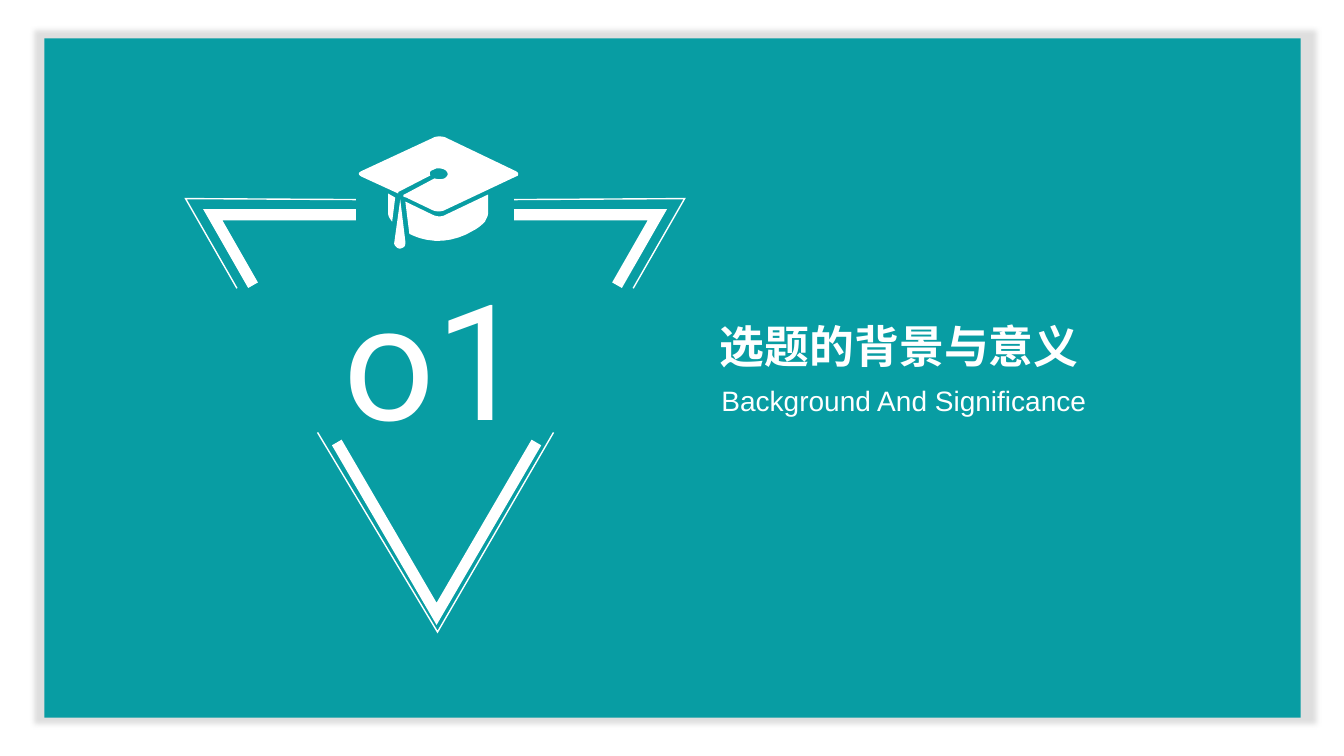
"""Build a section slide with a broken triangle, a graduation cap and a title, on a grid of 0.01 inch cells."""
from dataclasses import dataclass
from typing import Optional

from lxml import etree
from pptx import Presentation
from pptx.dml.color import RGBColor
from pptx.enum.shapes import MSO_SHAPE
from pptx.enum.text import MSO_ANCHOR, PP_ALIGN
from pptx.oxml.ns import qn
from pptx.util import Emu, Pt

RECTANGLE = MSO_SHAPE.RECTANGLE
MIDDLE = MSO_ANCHOR.MIDDLE
CENTER = PP_ALIGN.CENTER

CELL = 9144
COLUMNS, ROWS = 1333, 750
MIRROR_SUM = 863
CURVE_STEPS = 6
WHITE, TEAL, GREY = "FFFFFF", "089DA3", "A6A6A6"
THIN, THICK = 1, 8

Point = tuple[float, float]
Curve = tuple[float, float, float, float, float, float]


@dataclass(frozen=True)
class Stroke:
    points: list[Point]
    weight: float
    mirrored: bool = False


@dataclass(frozen=True)
class Patch:
    start: Point
    segments: list[tuple[float, ...]]


@dataclass(frozen=True)
class Label:
    text: str
    column: float
    row: float
    columns: float
    rows: float
    font: str
    size: float
    bold: Optional[bool] = None
    indent: float = 0


STROKES = [
    Stroke([(235, 286), (184, 197), (353, 198)], THIN, True),
    Stroke([(251, 283), (211, 213), (353, 213)], THICK, True),
    Stroke([(549, 429), (434, 627), (315, 429)], THIN),
    Stroke([(532, 439), (433, 609), (334, 439)], THICK),
]

CAP_BOARD = Patch((429, 137), [
    (432, 135, 437, 135, 441, 136), (512, 170),
    (513, 171, 514, 171, 514, 173), (514, 174, 513, 175, 512, 175),
    (440, 209), (437, 210, 433, 210, 430, 209), (405, 197),
    (404, 196, 402, 196, 400, 195), (400, 194, 400, 193, 401, 193),
    (431, 177), (434, 178, 438, 178, 441, 177),
    (442, 176, 444, 175, 444, 173), (444, 171, 443, 170, 442, 169),
    (439, 167, 436, 167, 433, 167), (431, 168, 428, 169, 427, 170),
    (426, 171, 426, 173, 427, 174), (396, 190),
    (395, 190, 395, 191, 395, 192), (358, 175),
    (357, 174, 356, 174, 356, 172), (356, 171, 357, 171, 358, 170),
])
CAP_SIDE = Patch((385, 192), [
    (392, 196), (389, 220), (387, 217, 385, 215, 385, 212),
])
CAP_BASE = Patch((440, 214), [
    (484, 193), (484, 212), (484, 215, 482, 217, 481, 220),
    (477, 224, 473, 227, 469, 229), (456, 237, 439, 241, 424, 238),
    (418, 237, 412, 235, 406, 232), (402, 200), (429, 213),
    (433, 215, 437, 215, 440, 214),
])
CAP_TASSEL = Patch((391, 241), [
    (397, 198), (402, 239), (402, 240, 402, 241, 402, 242),
    (402, 244, 401, 245, 399, 246), (397, 247, 395, 247, 393, 245),
    (392, 244, 391, 243, 391, 241),
])

LABELS = [
    Label("o1", 235, 251, 393, 204, "Roboto", 115),
    Label("选题的背景与意义", 621, 311, 542, 64, "Noto Sans CJK SC", 32, True),
    Label("Background And Significance", 618, 375, 549, 44, "Arial", 20, indent=8),
]


def cells(count: float) -> Emu:
    """Turn a number of grid cells into a length."""
    return Emu(round(count * CELL))


def color(value: str) -> RGBColor:
    """Turn a hex string into a colour."""
    return RGBColor.from_string(value)


def set_all(target: object, values: dict[str, object]) -> None:
    """Set every attribute named in the dict."""
    for name, value in values.items():
        setattr(target, name, value)


def curve_points(start: Point, curve: Curve) -> list[Point]:
    """Sample a cubic curve after its start point."""
    corners = [start, curve[0:2], curve[2:4], curve[4:6]]
    points = []
    for step in range(1, CURVE_STEPS + 1):
        t = step / CURVE_STEPS
        weights = [(1 - t) ** 3, 3 * t * (1 - t) ** 2, 3 * t * t * (1 - t), t ** 3]
        points.append(tuple(sum(w * c[axis] for w, c in zip(weights, corners)) for axis in (0, 1)))
    return points


def outline(slide, points: list[Point], closed: bool):
    """Build a freeform through grid points."""
    scaled = [(round(x * CELL), round(y * CELL)) for x, y in points]
    builder = slide.shapes.build_freeform(*scaled[0], scale=1.0)
    builder.add_line_segments(scaled[1:], close=closed)
    shape = builder.convert_to_shape()
    shape.shadow.inherit = False
    return shape


def draw_stroke(slide, stroke: Stroke) -> None:
    """Draw an open line, and its mirror image where asked."""
    versions = [stroke.points]
    if stroke.mirrored:
        versions.append([(MIRROR_SUM - x, y) for x, y in stroke.points])
    for points in versions:
        shape = outline(slide, points, False)
        shape.fill.background()
        shape.line.color.rgb = color(WHITE)
        shape.line.width = Pt(stroke.weight)
        etree.SubElement(shape.line._get_or_add_ln(), qn("a:miter"), lim="800000")


def draw_patch(slide, patch: Patch) -> None:
    """Draw a filled white area with straight and curved edges."""
    points = [patch.start]
    for segment in patch.segments:
        points += [segment] if len(segment) == 2 else curve_points(points[-1], segment)
    shape = outline(slide, points, True)
    shape.fill.solid()
    shape.fill.fore_color.rgb = color(WHITE)
    shape.line.fill.background()


def draw_panel(slide) -> None:
    """Draw the teal panel with its soft grey shadow."""
    panel = slide.shapes.add_shape(RECTANGLE, cells(44), cells(38), cells(1246), cells(674))
    panel.fill.solid()
    panel.fill.fore_color.rgb = color(TEAL)
    panel.line.fill.background()
    panel.shadow.inherit = False
    effects = panel._element.spPr.find(qn("a:effectLst"))
    shadow = etree.SubElement(effects, qn("a:outerShdw"), blurRad=str(Pt(4)), dist=str(Pt(2)),
                              dir="0", sx="102000", sy="102000", algn="ctr", rotWithShape="0")
    tint = etree.SubElement(shadow, qn("a:srgbClr"), val=GREY)
    etree.SubElement(tint, qn("a:alpha"), val="36000")


def draw_label(slide, label: Label) -> None:
    """Draw one centred line of white text."""
    box = slide.shapes.add_textbox(cells(label.column), cells(label.row),
                                   cells(label.columns), cells(label.rows))
    set_all(box.text_frame, {"word_wrap": True, "vertical_anchor": MIDDLE,
                             "margin_left": cells(label.indent), "margin_right": 0,
                             "margin_top": 0, "margin_bottom": 0})
    paragraph = box.text_frame.paragraphs[0]
    paragraph.alignment = CENTER
    run = paragraph.add_run()
    run.text = label.text
    set_all(run.font, {"name": label.font, "size": Pt(label.size), "bold": label.bold})
    run.font.color.rgb = color(WHITE)
    etree.SubElement(run.font._element, qn("a:ea"), typeface=label.font)


def main() -> None:
    """Build the slide and save it."""
    presentation = Presentation()
    set_all(presentation, {"slide_width": cells(COLUMNS), "slide_height": cells(ROWS)})
    slide = presentation.slides.add_slide(presentation.slide_layouts[6])
    draw_panel(slide)
    for stroke in STROKES:
        draw_stroke(slide, stroke)
    for patch in (CAP_BOARD, CAP_SIDE, CAP_BASE, CAP_TASSEL):
        draw_patch(slide, patch)
    for label in LABELS:
        draw_label(slide, label)
    presentation.save("out.pptx")


if __name__ == "__main__":
    main()
